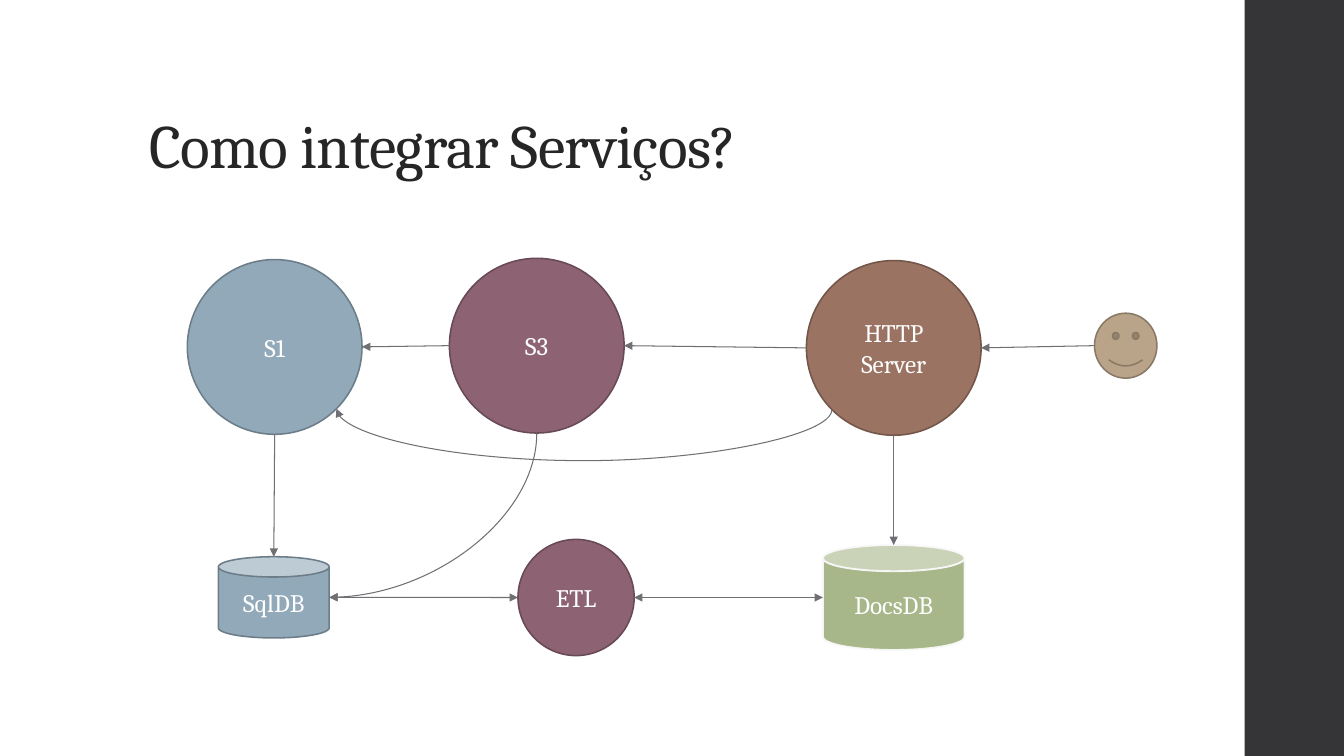
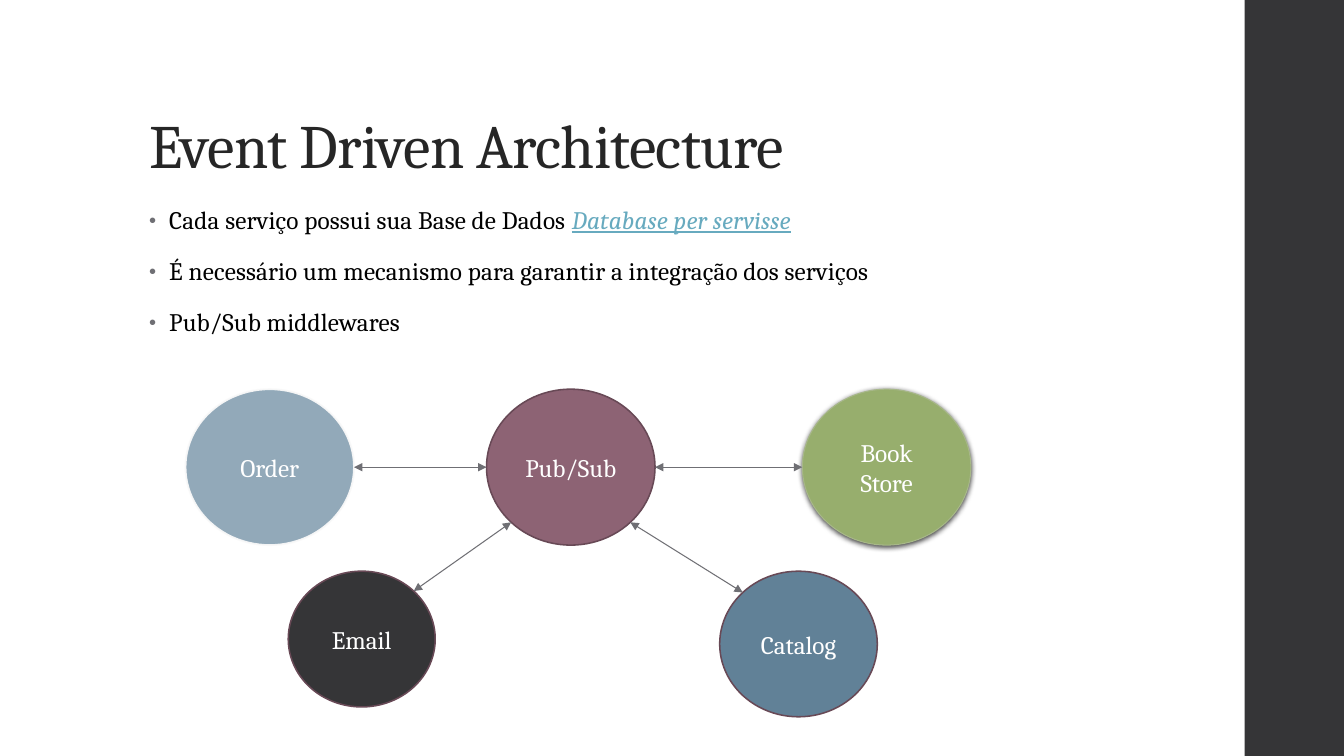
from dataclasses import dataclass

import lxml.etree
import pptx
import pptx.dml.color
import pptx.enum.shapes
import pptx.enum.text
import pptx.oxml.ns
import pptx.util

Pt = pptx.util.Pt
qn = pptx.oxml.ns.qn
SHAPE = pptx.enum.shapes.MSO_SHAPE
CONNECTOR = pptx.enum.shapes.MSO_CONNECTOR
ALIGN = pptx.enum.text.PP_ALIGN
ANCHOR = pptx.enum.text.MSO_ANCHOR


@dataclass(frozen=True)
class Theme:
    font: str = "Cambria"
    title_size: float = 44
    text_size: float = 18
    node_line: float = 1.1
    connector_line: float = 0.75
    dark: str = "353537"
    title: str = "262626"
    text: str = "000000"
    white: str = "FFFFFF"
    link: str = "67AABF"
    gray: str = "6F6F74"


@dataclass(frozen=True)
class NodeStyle:
    fill: str
    line: str
    line_width: float = Theme.node_line
    line_opacity: int = 100
    shadow: bool = False


THEME = Theme()
PALE_LINE = {"line": "F9F9F9", "line_width": 1.35, "line_opacity": 95}
BLUE = NodeStyle("92A9B9", "6C7D89")
PALE_BLUE = NodeStyle("92A9B9", **PALE_LINE)
PLUM = NodeStyle("8D6374", "684956")
BROWN = NodeStyle("9B7362", "735549")
SAND = NodeStyle("B9A489", "897965")
SAGE = NodeStyle("A7B789", **PALE_LINE)
GREEN = NodeStyle("97AE6D", "A7B789", 0.75, shadow=True)
DARK = NodeStyle(THEME.dark, "684956")
STEEL = NodeStyle("618197", "684956")

SLIDE_WIDTH, SLIDE_HEIGHT = 960, 540
BAND_BOX = (889, 0, 71, SLIDE_HEIGHT)
TITLE_BOX = (99.4, 28.8, 763.2, 104.4)
BODY_BOX = (99.4, 144, 676.8, 342.7)
INTEGRATION_BOX = (133.8, 184.5, 693, 284)
EVENTS_BOX = (132.5, 278, 561, 234)

# Each site: horizontal and vertical fraction of the box, index on an ellipse, index on a can.
DIAGONAL = 0.1464
SITES = {
    "top": (0.5, 0, 0, 1),
    "left": (0, 0.5, 2, 2),
    "bottom": (0.5, 1, 4, 3),
    "right": (1, 0.5, 6, 4),
    "upper left": (DIAGONAL, DIAGONAL, 1, None),
    "lower left": (DIAGONAL, 1 - DIAGONAL, 3, None),
    "lower right": (1 - DIAGONAL, 1 - DIAGONAL, 5, None),
    "upper right": (1 - DIAGONAL, DIAGONAL, 7, None),
}


def rgb(color):
    return pptx.dml.color.RGBColor.from_string(color)


def add_element(parent, tag, **attributes):
    return lxml.etree.SubElement(parent, qn(tag), {key: str(value) for key, value in attributes.items()})


def place(box, inner):
    """Turn a box relative to an outer box into slide lengths."""
    left, top, width, height = inner
    return [Pt(length) for length in (box[0] + left, box[1] + top, width, height)]


def add_run(paragraph, text, size, color, spacing=None):
    run = paragraph.add_run()
    run.text = text
    run.font.name = THEME.font
    run.font.size = Pt(size)
    run.font.color.rgb = rgb(color)
    if spacing is not None:
        run.font._element.set("spc", str(spacing))
    return run


def add_band(slide, layout):
    """Put the dark side band on the layout, so that every slide shows it."""
    band = slide.shapes.add_shape(SHAPE.RECTANGLE, *(Pt(length) for length in BAND_BOX))
    band.shadow.inherit = False
    band.fill.solid()
    band.fill.fore_color.rgb = rgb(THEME.dark)
    band.line.fill.background()
    layout.shapes.element.insert(2, band.element)


def add_title(slide, text, box):
    title = slide.shapes.title
    title.left, title.top, title.width, title.height = (Pt(length) for length in box)
    frame = title.text_frame
    frame.vertical_anchor = ANCHOR.BOTTOM
    frame.auto_size = pptx.enum.text.MSO_AUTO_SIZE.NONE
    paragraph = frame.paragraphs[0]
    paragraph.alignment = ALIGN.LEFT
    paragraph.line_spacing = 0.9
    add_run(paragraph, text, THEME.title_size, THEME.title, -50)


def add_bullets(slide, items, box):
    """Each item is a list of (text, looks like a link) pairs."""
    frame = slide.shapes.add_textbox(*(Pt(length) for length in box)).text_frame
    frame.word_wrap = True
    for index, item in enumerate(items):
        paragraph = frame.paragraphs[0] if index == 0 else frame.add_paragraph()
        paragraph.line_spacing = 0.95
        paragraph.space_before = Pt(14)
        paragraph.space_after = Pt(2)
        for text, is_link in item:
            run = add_run(paragraph, text, THEME.text_size, THEME.link if is_link else THEME.text, 10)
            run.font.italic = run.font.underline = is_link
        properties = paragraph._p.get_or_add_pPr()
        properties.set("marL", str(Pt(14.4)))
        properties.set("indent", str(-Pt(14.4)))
        add_element(add_element(properties, "a:buClr"), "a:srgbClr", val=THEME.gray)
        add_element(properties, "a:buSzPct", val=80000)
        add_element(properties, "a:buFont", typeface="Arial")
        add_element(properties, "a:buChar", char="•")


def add_node(slide, box, inner, text, style, kind=SHAPE.OVAL):
    node = slide.shapes.add_shape(kind, *place(box, inner))
    node.shadow.inherit = False
    node.fill.solid()
    node.fill.fore_color.rgb = rgb(style.fill)
    node.line.color.rgb = rgb(style.line)
    node.line.width = Pt(style.line_width)
    properties = node.element.spPr
    if style.line_opacity < 100:
        line_color = properties.find(qn("a:ln")).find(".//" + qn("a:srgbClr"))
        add_element(line_color, "a:alpha", val=style.line_opacity * 1000)
    if style.shadow:
        shadow = add_element(properties.find(qn("a:effectLst")), "a:outerShdw", blurRad=Pt(4),
                             dist=Pt(1.2), dir=5400000, algn="ctr", rotWithShape=0)
        add_element(add_element(shadow, "a:srgbClr", val="000000"), "a:alpha", val=75000)
    if text:
        frame = node.text_frame
        frame.word_wrap = True
        frame.vertical_anchor = ANCHOR.MIDDLE
        frame.paragraphs[0].alignment = ALIGN.CENTER
        add_run(frame.paragraphs[0], text, THEME.text_size, THEME.white)
    return node


def site_point(node, site):
    across, down = SITES[site][:2]
    return int(node.left + across * node.width), int(node.top + down * node.height)


def finish_connector(connector, begin, end, both_ways):
    """Style a connector, glue its ends to the (node, site) pairs and add arrowheads."""
    connector.line.color.rgb = rgb(THEME.gray)
    connector.line.width = Pt(THEME.connector_line)
    line = connector.line._get_or_add_ln()
    if both_ways:
        add_element(line, "a:headEnd", type="triangle")
    add_element(line, "a:tailEnd", type="triangle")
    add_element(connector.element.spPr, "a:effectLst")
    glue = connector.element.find(".//" + qn("p:cNvCxnSpPr"))
    for tag, (node, site) in (("a:stCxn", begin), ("a:endCxn", end)):
        column = 3 if node.auto_shape_type == SHAPE.CAN else 2
        add_element(glue, tag, id=node.shape_id, idx=SITES[site][column])


def add_arrow(slide, begin, end, both_ways=False):
    connector = slide.shapes.add_connector(CONNECTOR.STRAIGHT, *site_point(*begin), *site_point(*end))
    finish_connector(connector, begin, end, both_ways)


def add_curve(slide, begin, end, depth=None):
    """Leave downwards and go left: a quarter turn, or a bow that sinks by depth."""
    begin_x, begin_y = site_point(*begin)
    end_x, end_y = site_point(*end)
    width, height = abs(end_y - begin_y), abs(end_x - begin_x)
    left = (begin_x + end_x - width) // 2
    top = (begin_y + end_y - height) // 2
    connector = slide.shapes.add_connector(CONNECTOR.CURVE, left, top, left + width, top + height)
    properties = connector.element.spPr
    transform = properties.find(qn("a:xfrm"))
    transform.set("rot", "5400000")
    if end_y < begin_y:
        transform.set("flipH", "1")
    geometry = properties.find(qn("a:prstGeom"))
    if depth is None:
        geometry.set("prst", "curvedConnector2")
    else:
        bow = round(-Pt(depth) / width * 100000)
        add_element(geometry.find(qn("a:avLst")), "a:gd", name="adj1", fmla=f"val {bow}")
    finish_connector(connector, begin, end, False)


def draw_integration(slide, box):
    size = 124.8
    first = add_node(slide, box, (0, 0.9, size, size), "S1", BLUE)
    third = add_node(slide, box, (187.2, 0, size, size), "S3", PLUM)
    server = add_node(slide, box, (442.2, 1.6, size, size), "HTTP Server", BROWN)
    user = add_node(slide, box, (648, 39.2, 44.6, 46.4), "", SAND, SHAPE.SMILEY_FACE)
    relational = add_node(slide, box, (22.2, 213.2, 79.2, 58), "SqlDB", BLUE, SHAPE.CAN)
    loader = add_node(slide, box, (236.2, 200.8, 83, 83), "ETL", PLUM)
    documents = add_node(slide, box, (454, 204.8, 101.2, 75), "DocsDB", SAGE, SHAPE.CAN)

    for begin, end in (
        ((user, "left"), (server, "right")),
        ((server, "left"), (third, "right")),
        ((third, "left"), (first, "right")),
        ((first, "bottom"), (relational, "top")),
        ((server, "bottom"), (documents, "top")),
    ):
        add_arrow(slide, begin, end)
    add_arrow(slide, (relational, "right"), (loader, "left"), both_ways=True)
    add_arrow(slide, (loader, "right"), (documents, "left"), both_ways=True)
    add_curve(slide, (third, "bottom"), (relational, "right"))
    add_curve(slide, (server, "lower left"), (first, "lower right"), depth=36)


def draw_events(slide, box):
    width, height = 120.4, 111.4
    broker = add_node(slide, box, (215, 0, width, height), "Pub/Sub", PLUM)
    store = add_node(slide, box, (440.6, 0, width, height), "Book Store", GREEN)
    order = add_node(slide, box, (0, 0, width, height), "Order", PALE_BLUE)
    email = add_node(slide, box, (73.4, 130, 105, 97), "Email", DARK)
    catalog = add_node(slide, box, (381.6, 130, 112.6, 104), "Catalog", STEEL)
    for broker_site, service, site in (
        ("right", store, "left"),
        ("left", order, "right"),
        ("lower left", email, "upper right"),
        ("lower right", catalog, "upper left"),
    ):
        add_arrow(slide, (broker, broker_site), (service, site), both_ways=True)


def main():
    presentation = pptx.Presentation()
    presentation.slide_width, presentation.slide_height = Pt(SLIDE_WIDTH), Pt(SLIDE_HEIGHT)
    layout = presentation.slide_layouts.get_by_name("Title Only")

    integration = presentation.slides.add_slide(layout)
    add_band(integration, layout)
    add_title(integration, "Como integrar Serviços?", TITLE_BOX)
    draw_integration(integration, INTEGRATION_BOX)

    events = presentation.slides.add_slide(layout)
    add_title(events, "Event Driven Architecture", TITLE_BOX)
    add_bullets(events, [
        [("Cada serviço possui sua Base de Dados ", False), ("Database per servisse", True)],
        [("É necessário um mecanismo para garantir a integração dos serviços", False)],
        [("Pub/Sub middlewares", False)],
    ], BODY_BOX)
    draw_events(events, EVENTS_BOX)

    presentation.save("out.pptx")


if __name__ == "__main__":
    main()
